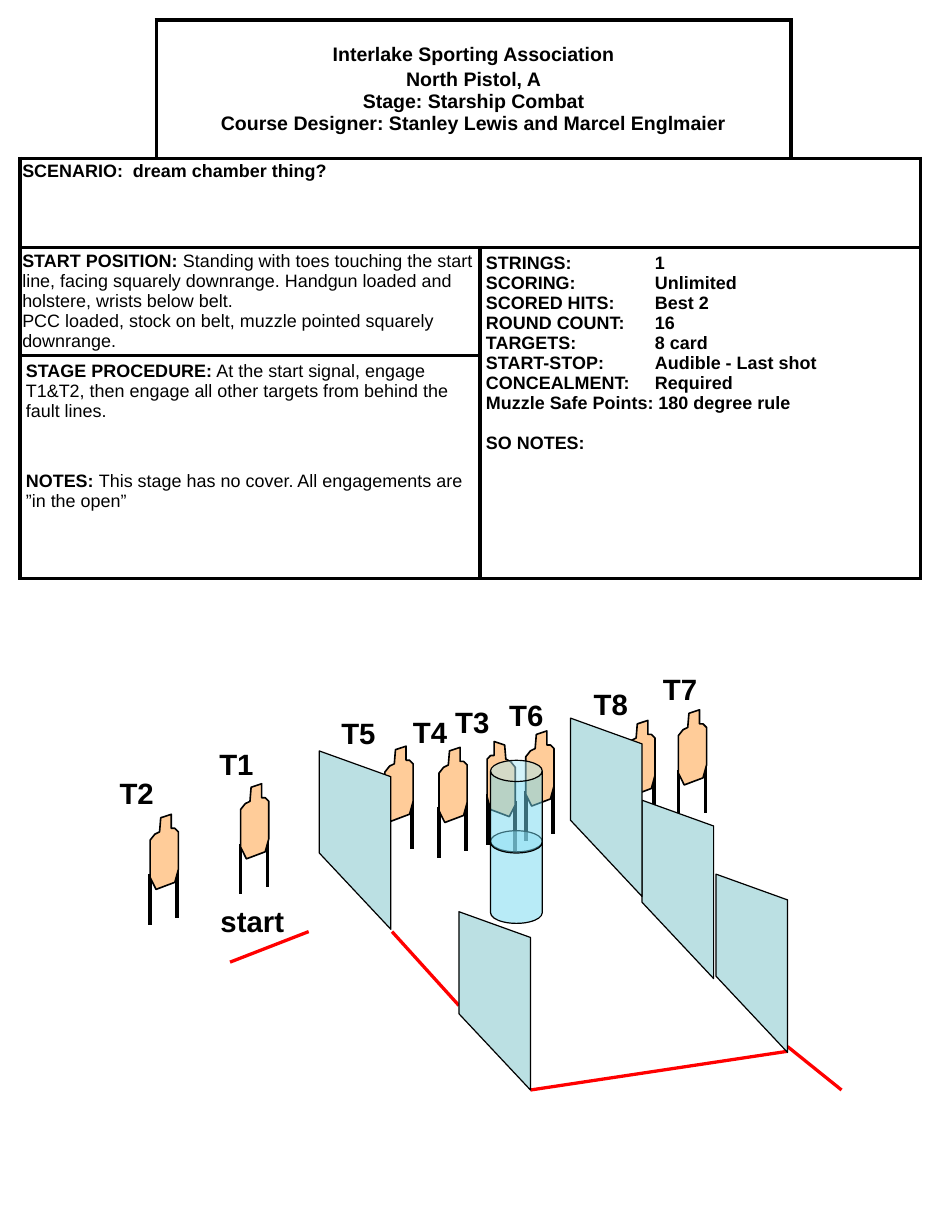
"""Build the match stage sheet: a briefing table above a sketch of the course."""
from dataclasses import dataclass

from lxml import etree
from pptx import Presentation
from pptx.dml.color import RGBColor
from pptx.enum.shapes import MSO_CONNECTOR, MSO_SHAPE
from pptx.enum.text import MSO_ANCHOR, PP_ALIGN
from pptx.oxml.ns import qn
from pptx.util import Pt

STRAIGHT = MSO_CONNECTOR.STRAIGHT
CAN = MSO_SHAPE.CAN
CENTER, LEFT = PP_ALIGN.CENTER, PP_ALIGN.LEFT
MIDDLE, TOP = MSO_ANCHOR.MIDDLE, MSO_ANCHOR.TOP
PX = 9144


@dataclass(frozen=True)
class Theme:
    """Colours, type sizes and line weights of the sheet."""
    font: str = "Arial"
    ink: str = "000000"
    paper: str = "FFFFFF"
    target: str = "FFCC99"
    wall: str = "BBE0E3"
    barrel: str = "73D9F1"
    fault: str = "FF0000"
    heading: float = 12
    body: float = 11
    label: float = 18
    heavy: float = 2.25
    medium: float = 2
    thin: float = 1
    hairline: float = 0.75


THEME = Theme()
COLUMNS = (116, 276, 265, 110)
ROWS = (118, 76, 92, 190)
HEADING = [(0, [("Interlake Sporting Association", True)]),
           (1.5, [("North Pistol, A", True)]),
           (0, [("Stage: Starship Combat", True)]),
           (0, [("Course Designer: Stanley Lewis and Marcel Englmaier", True)])]
SCENARIO = [(0, [("SCENARIO:  dream chamber thing?", True)])]
START = [(0, [("START POSITION: ", True),
              ("Standing with toes touching the start line, facing squarely downrange. "
               "Handgun loaded and holstere, wrists below belt.", False)]),
         (0, [("PCC loaded, stock on belt, muzzle pointed squarely downrange.", False)])]
FACTS = (("STRINGS:", "1"), ("SCORING:", "Unlimited"), ("SCORED HITS:", "Best 2"),
         ("ROUND COUNT:", "16"), ("TARGETS:", "8 card"),
         ("START-STOP:", "Audible - Last shot"), ("CONCEALMENT:", "Required"))
SCORING = [(0, [("\t".join(fact), True)]) for fact in FACTS] + [
    (0, [("Muzzle Safe Points: 180 degree rule", True)]),
    (12.3, [("SO NOTES:", True)])]
PROCEDURE = [(0, [("STAGE PROCEDURE:", True),
                  (" At the start signal, engage T1&T2, then engage all other targets "
                   "from behind the fault lines.", False)]),
             (30.7, [("NOTES: ", True),
                     ("This stage has no cover. All engagements are ”in the open”", False)])]
CELLS = (
    (0, 1, 1, 2, HEADING, dict(size=THEME.heading, align=CENTER, anchor=MIDDLE)),
    (1, 0, 1, 4, SCENARIO, dict(inset=(2, 4), spacing=0.9)),
    (2, 0, 1, 2, START, dict(inset=(2, 3))),
    (2, 2, 2, 2, SCORING, dict(tab=144)),
    (3, 0, 1, 2, PROCEDURE, {}),
)
OPEN_CORNERS = {(0, 0): "RB", (0, 3): "LB"}

TARGET_OUTLINE = ((9, 3), (18, 0), (18, 12), (21, 12), (24, 15), (24, 47), (21, 58),
                  (5, 64), (0, 54), (0, 22), (4, 17), (8, 15))
TARGET_LEGS = ((0, 51), (23, 45))
TARGET_WIDTH, LEG_LENGTH = 25, 43
WALL_OUTLINE = ((0, 87), (61, 152), (61, 22), (0, 0))
REAR_TARGETS = ((578, 605), (534, 614))
FRONT_TARGETS = ((205, 668), (128, 694), (448, 623), (374, 637), (328, 636))
FAULT_LINES = ((196, 820, 263, 794), (334, 794, 391, 857),
               (671, 892, 717, 929), (452, 929, 671, 896))
LABELS = (("T1", 177, 631), ("T2", 92, 656), ("T3", 378, 595), ("T4", 342, 604),
          ("T5", 281, 605), ("T6", 424, 589), ("T7", 555, 567), ("T8", 496, 580),
          ("start", 178, 765))
WALLS = ((391, 777), (610, 745), (547, 682), (486, 612))


def px(*lengths):
    """Turn px into EMU."""
    return [length * PX for length in lengths]


def apply(item, values):
    """Set attributes from a dict of format values."""
    for name, value in values.items():
        setattr(item, name, value)


def write(paragraph, runs, size, **values):
    """Fill a paragraph with (text, bold) runs."""
    apply(paragraph, values)
    for words, bold in runs:
        run = paragraph.add_run()
        run.text = words
        apply(run.font, dict(name=THEME.font, size=Pt(size), bold=bold))
        run.font.color.rgb = RGBColor.from_string(THEME.ink)


def paint(shape, fill, weight):
    """Give a shape a flat fill and an ink outline."""
    shape.shadow.inherit = False
    shape.fill.solid()
    shape.fill.fore_color.rgb = RGBColor.from_string(fill)
    shape.line.color.rgb = RGBColor.from_string(THEME.ink)
    shape.line.width = Pt(weight)


def stroke(shapes, ends, color, weight):
    """Draw a straight line between two points."""
    line = shapes.add_connector(STRAIGHT, *px(*ends))
    line.line.color.rgb = RGBColor.from_string(color)
    line.line.width = Pt(weight)
    etree.SubElement(line._element.spPr, qn("a:effectLst"))


def outline(shapes, points, fill, weight):
    """Draw a closed polygon."""
    builder = shapes.build_freeform(*points[0], scale=PX)
    builder.add_line_segments(points[1:], close=True)
    paint(builder.convert_to_shape(), fill, weight)


def frame_cell(cell, sides):
    """Rule the named sides of a cell and fill it with paper."""
    properties = cell._tc.get_or_add_tcPr()
    for side in "LRTB":
        edge = etree.SubElement(properties, qn(f"a:ln{side}"), w=str(Pt(THEME.heavy)))
        if side in sides:
            solid = etree.SubElement(edge, qn("a:solidFill"))
            etree.SubElement(solid, qn("a:srgbClr"), val=THEME.ink)
        else:
            etree.SubElement(edge, qn("a:noFill"))
    cell.fill.solid()
    cell.fill.fore_color.rgb = RGBColor.from_string(THEME.paper)


def fill_cell(cell, paragraphs, size=THEME.body, align=LEFT, anchor=TOP,
              inset=(5, 5), spacing=1.0, tab=None):
    """Write paragraphs into a cell, with an optional tab stop."""
    side, end = px(*inset)
    apply(cell, dict(margin_left=side, margin_right=side, margin_top=end,
                     margin_bottom=end, vertical_anchor=anchor))
    frame = cell.text_frame
    for index, (before, runs) in enumerate(paragraphs):
        paragraph = frame.add_paragraph() if index else frame.paragraphs[0]
        values = dict(alignment=align, line_spacing=spacing)
        if before:
            values["space_before"] = Pt(before)
        write(paragraph, runs, size, **values)
        if tab:
            stops = etree.SubElement(paragraph._p.get_or_add_pPr(), qn("a:tabLst"))
            etree.SubElement(stops, qn("a:tab"), pos=str(tab * PX), algn="l")


def briefing(slide, left, top):
    """Place the briefing table."""
    size = px(left, top, sum(COLUMNS), sum(ROWS))
    table = slide.shapes.add_table(len(ROWS), len(COLUMNS), *size).table
    apply(table, dict(first_row=False, horz_banding=False))
    for column, width in zip(table.columns, px(*COLUMNS)):
        column.width = width
    for index, height in enumerate(px(*ROWS)):
        table.rows[index].height = height
        for column in range(len(COLUMNS)):
            frame_cell(table.cell(index, column), OPEN_CORNERS.get((index, column), "LRTB"))
    for row, column, deep, wide, paragraphs, style in CELLS:
        cell = table.cell(row, column)
        cell.merge(table.cell(row + deep - 1, column + wide - 1))
        fill_cell(cell, paragraphs, **style)


def target(slide, left, top, mirrored=False):
    """Place one cardboard target on two legs."""
    def across(x):
        return left + (TARGET_WIDTH - x if mirrored else x)

    parts = slide.shapes.add_group_shape().shapes
    for x, y in TARGET_LEGS:
        ends = (across(x), top + y, across(x), top + y + LEG_LENGTH)
        stroke(parts, ends, THEME.ink, THEME.heavy)
    outline(parts, [(across(x), top + y) for x, y in TARGET_OUTLINE],
            THEME.target, THEME.thin)


def wall(slide, left, top):
    """Place one slanted wall panel."""
    outline(slide.shapes, [(left + x, top + y) for x, y in WALL_OUTLINE],
            THEME.wall, THEME.hairline)


def label(slide, words, left, top):
    """Place one bold label."""
    box = slide.shapes.add_textbox(*px(left, top, 88 if len(words) > 2 else 60, 40))
    box.text_frame.word_wrap = True
    write(box.text_frame.paragraphs[0], [(words, True)], THEME.label)


def barrels(slide, left, top):
    """Stack two see-through barrels, the lower one behind."""
    parts = slide.shapes.add_group_shape().shapes
    for drop in (60, 0):
        barrel = parts.add_shape(CAN, *px(left, top + drop, 44, 79))
        barrel.adjustments[0] = 0.41
        paint(barrel, THEME.barrel, THEME.hairline)
        tint = barrel._element.spPr.find(qn("a:solidFill")).find(qn("a:srgbClr"))
        etree.SubElement(tint, qn("a:alpha"), val="50000")


def course(slide):
    """Place the course sketch from back to front."""
    for spot in REAR_TARGETS:
        target(slide, *spot)
    for ends in FAULT_LINES:
        stroke(slide.shapes, ends, THEME.fault, THEME.medium)
    for words, left, top in LABELS:
        label(slide, words, left, top)
    for spot in WALLS:
        wall(slide, *spot)
    for spot in FRONT_TARGETS:
        target(slide, *spot)
    target(slide, 414, 632, mirrored=True)
    wall(slide, 272, 640)
    barrels(slide, 418, 648)


def main():
    """Build and save the sheet."""
    deck = Presentation()
    deck.slide_width, deck.slide_height = px(800, 1050)
    slide = deck.slides.add_slide(deck.slide_layouts[6])
    briefing(slide, 17, 17)
    course(slide)
    deck.save("out.pptx")


if __name__ == "__main__":
    main()
